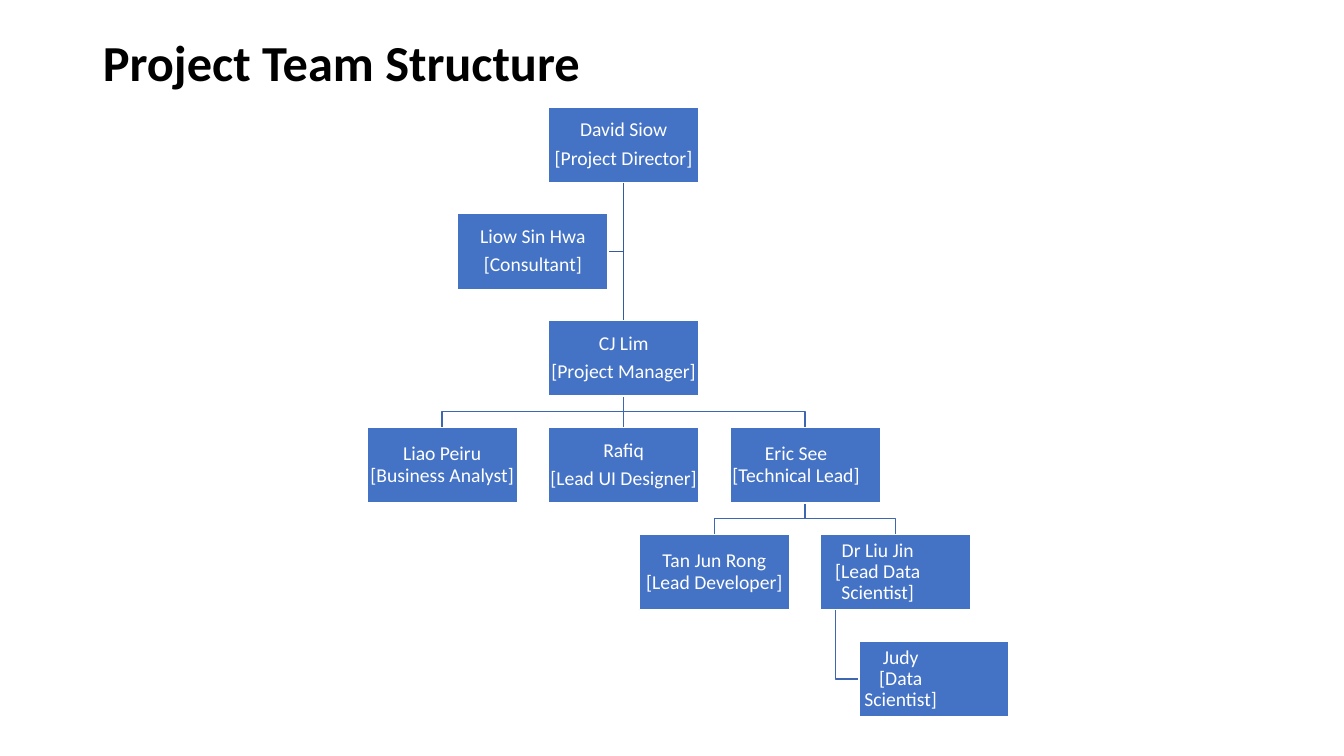
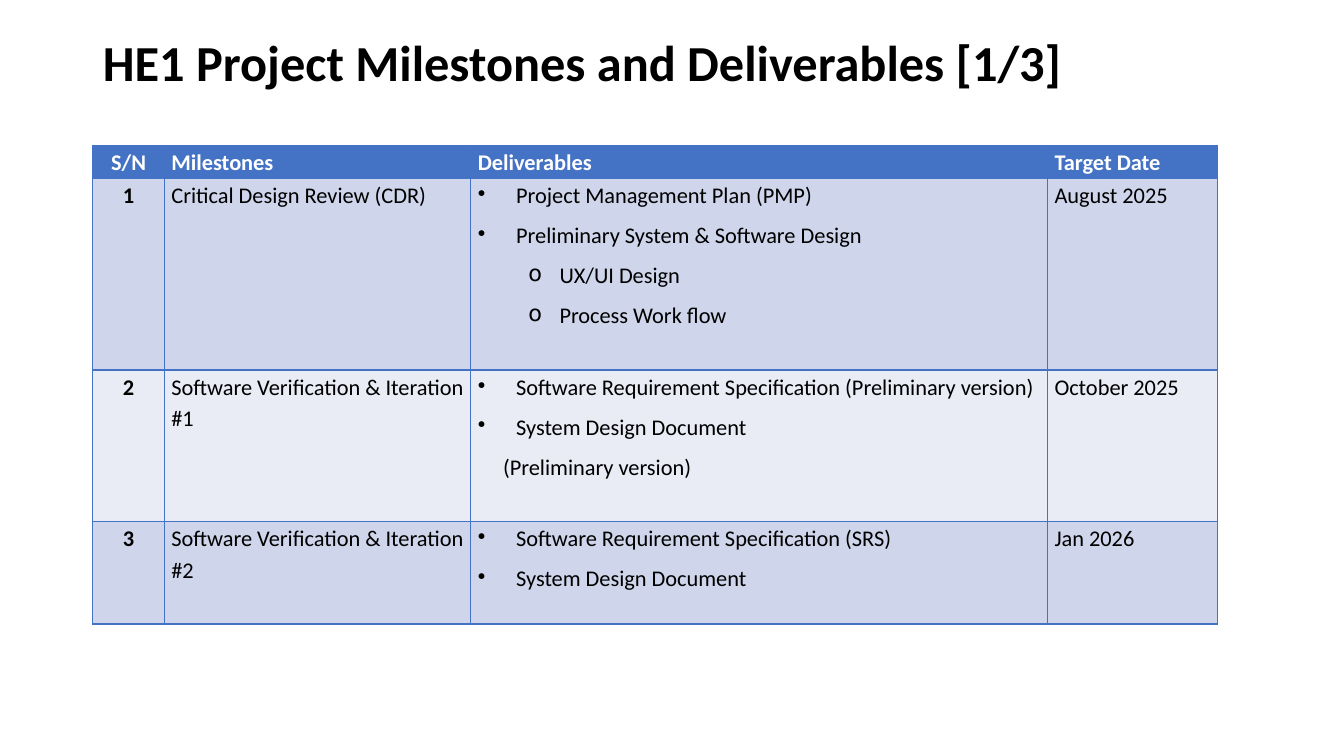
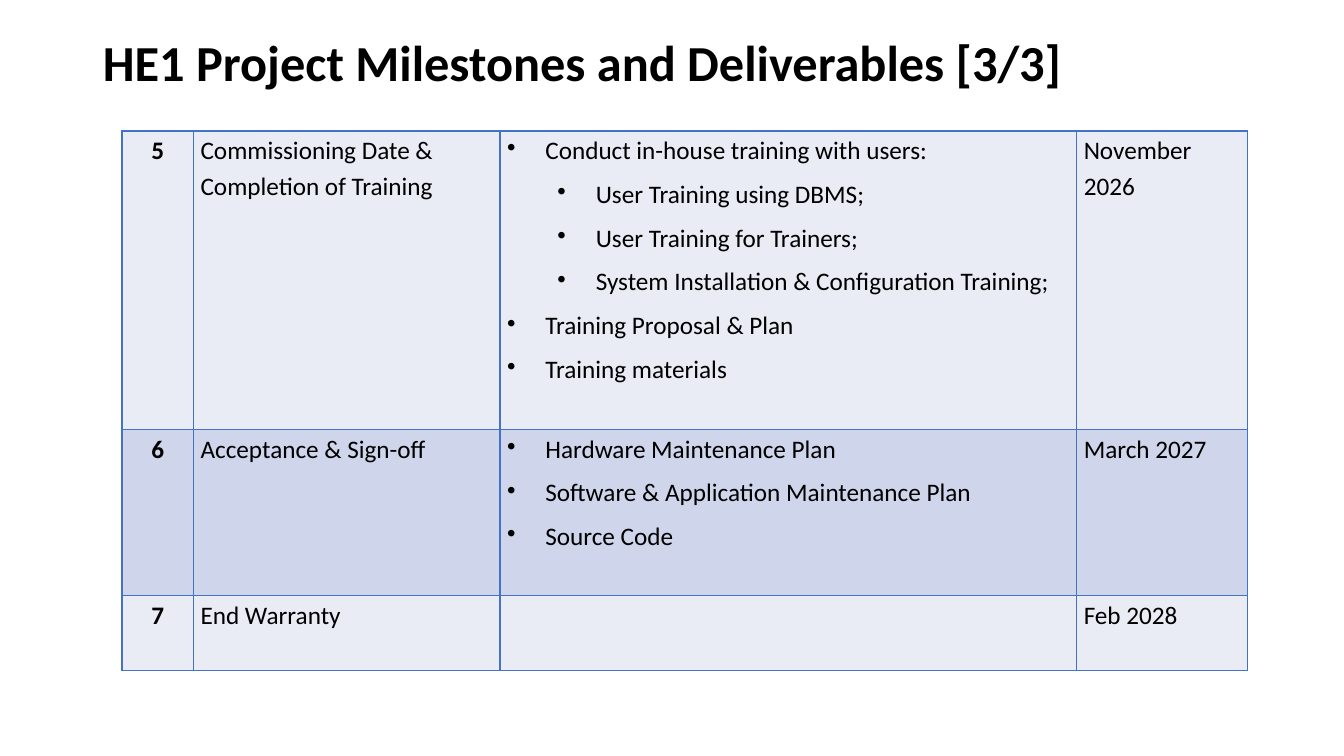
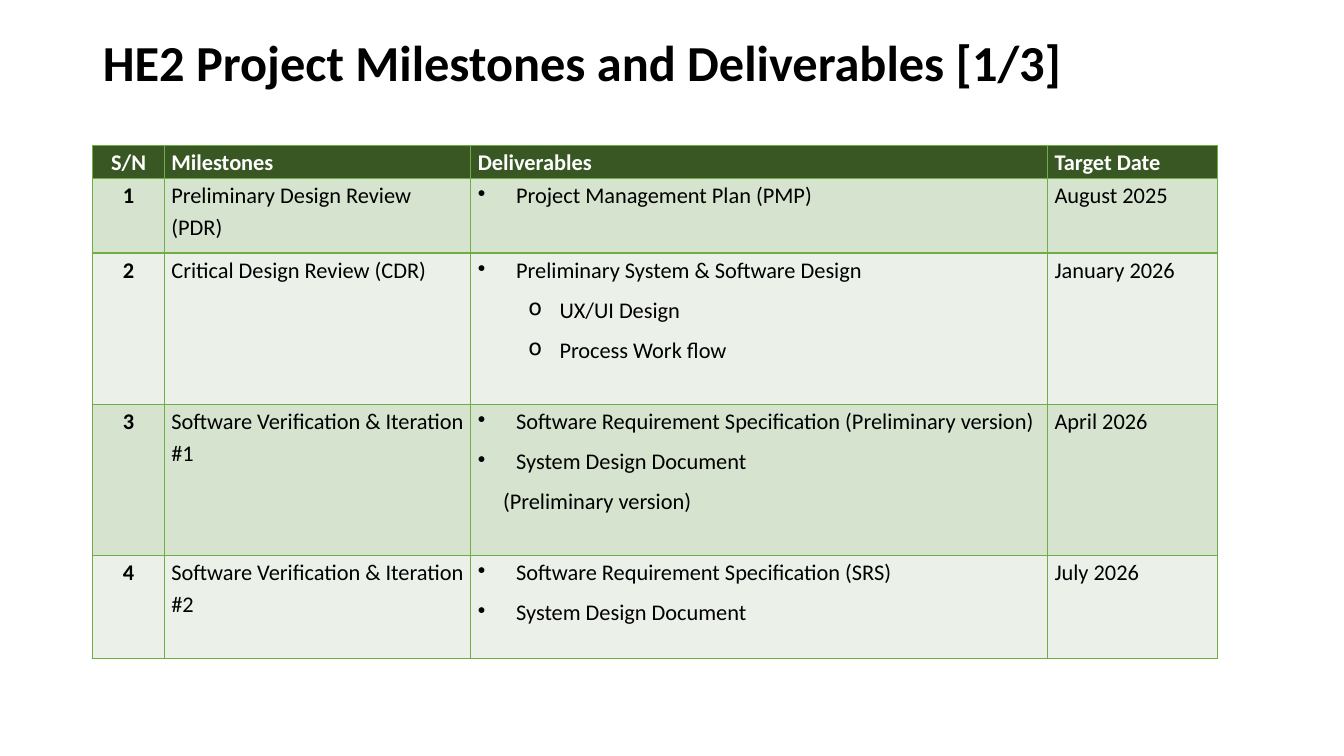
"""Build a project team chart and three milestone tables."""
from lxml import etree
from pptx import Presentation
from pptx.dml.color import RGBColor
from pptx.enum.shapes import MSO_CONNECTOR, MSO_SHAPE
from pptx.enum.text import MSO_ANCHOR, MSO_AUTO_SIZE, PP_ALIGN
from pptx.oxml.ns import qn
from pptx.util import Inches, Pt

FONT = "Calibri"
BLACK = RGBColor(0x00, 0x00, 0x00)
WHITE = RGBColor(0xFF, 0xFF, 0xFF)
BLUE = RGBColor(0x44, 0x72, 0xC4)
LINE_BLUE = RGBColor(0x3E, 0x67, 0xB2)
DARK_LINE_BLUE = RGBColor(0x36, 0x5B, 0x9D)
BLUE_BAND = RGBColor(0xCF, 0xD5, 0xEA)
PALE_BLUE_BAND = RGBColor(0xE9, 0xEB, 0xF5)
GREEN = RGBColor(0x70, 0xAD, 0x47)
DARK_GREEN = RGBColor(0x38, 0x57, 0x23)
GREEN_BAND = RGBColor(0xD5, 0xE3, 0xCF)
PALE_GREEN_BAND = RGBColor(0xEB, 0xF1, 0xE9)

MARGIN = 0.92
ROW_PITCH = 1.06
HALF_COLUMN = 0.9
CHART_LEFT, CHART_TOP = 5.44, 1.06
BOX_WIDTH, BOX_HEIGHT = 1.49, 0.75
COLUMN_WIDTHS = (0.71, 3.04, 5.72, 1.69)

LIST_STYLES = {
    "plain": (0, 0, None),
    "inset": (0.25, 0, None),
    "bullet": (0.38, -0.38, "•"),
    "circle": (0.81, -0.31, "o"),
    "nested": (0.88, -0.38, "•"),
}


def format_runs(paragraph, size, color, bold=False):
    for run in paragraph.runs:
        run.font.name = FONT
        run.font.size = Pt(size)
        run.font.bold = bold
        run.font.color.rgb = color


def add_border(cell, color):
    properties = cell._tc.get_or_add_tcPr()
    for position, side in enumerate(("a:lnL", "a:lnR", "a:lnT", "a:lnB")):
        line = etree.Element(qn(side), w=str(Pt(1)))
        fill = etree.SubElement(line, qn("a:solidFill"))
        etree.SubElement(fill, qn("a:srgbClr"), val=str(color))
        properties.insert(position, line)


presentation = Presentation()
presentation.slide_width = Inches(13.33)
presentation.slide_height = Inches(7.5)
layout = presentation.slide_layouts.get_by_name("Title Only")

title_shape = layout.placeholders[0]
title_shape.left, title_shape.top = Inches(MARGIN), Inches(0.4)
title_shape.width, title_shape.height = Inches(11.5), Inches(0.49)
title_shape.text_frame.auto_size = MSO_AUTO_SIZE.NONE
title_shape.text_frame.vertical_anchor = MSO_ANCHOR.MIDDLE
title_style = presentation.slide_master.element.find(f".//{qn('p:titleStyle')}/{qn('a:lvl1pPr')}")
title_style.set("algn", "l")
title_spacing = etree.Element(qn("a:lnSpc"))
etree.SubElement(title_spacing, qn("a:spcPct"), val="90000")
title_style.insert(0, title_spacing)
title_font = title_style.find(qn("a:defRPr"))
title_font.set("sz", "3600")
title_font.set("b", "1")

slide = presentation.slides.add_slide(layout)
slide.shapes.title.text_frame.text = "Project Team Structure"

# name: role, column, row, gap after name in points, right indent of name
TEAM = {
    "David Siow": ("[Project Director]", 0, 0, 5, 0),
    "Liow Sin Hwa": ("[Consultant]", -1, 1, 5, 0),
    "CJ Lim": ("[Project Manager]", 0, 2, 5, 0),
    "Liao Peiru": ("[Business Analyst]", -2, 3, 0, 0),
    "Rafiq": ("[Lead UI Designer]", 0, 3, 5, 0),
    "Eric See": ("[Technical Lead]", 2, 3, 0, 0.18),
    "Tan Jun Rong": ("[Lead Developer]", 1, 4, 0, 0),
    "Dr Liu Jin": ("[Lead Data Scientist]", 3, 4, 0, 0.36),
    "Judy": ("[Data Scientist]", 3.42, 5, 0, 0.66),
}
corners = {
    name: (CHART_LEFT + column * HALF_COLUMN, CHART_TOP + row * ROW_PITCH)
    for name, (role, column, row, gap, indent) in TEAM.items()
}

center = BOX_WIDTH / 2
half_gap = (ROW_PITCH - BOX_HEIGHT) / 2
routes = []
for parent, child, start, side in (
    ("David Siow", "Liow Sin Hwa", center, BOX_WIDTH),
    ("Dr Liu Jin", "Judy", BOX_WIDTH / 10, 0),
):
    start_x = corners[parent][0] + start
    child_x, child_y = corners[child]
    middle_y = child_y + BOX_HEIGHT / 2
    color = DARK_LINE_BLUE if parent == "David Siow" else LINE_BLUE
    routes.append((color, [(start_x, corners[parent][1] + BOX_HEIGHT),
                           (start_x, middle_y), (child_x + side, middle_y)]))
for parent, child in (
    ("Eric See", "Dr Liu Jin"),
    ("Eric See", "Tan Jun Rong"),
    ("CJ Lim", "Eric See"),
    ("CJ Lim", "Liao Peiru"),
):
    start_x, start_y = corners[parent][0] + center, corners[parent][1] + BOX_HEIGHT
    end_x, end_y = corners[child][0] + center, corners[child][1]
    routes.append((LINE_BLUE, [(start_x, start_y), (start_x, start_y + half_gap),
                               (end_x, start_y + half_gap), (end_x, end_y)]))
for color, points in routes:
    first, *others = [(Inches(x), Inches(y)) for x, y in points]
    builder = slide.shapes.build_freeform(*first)
    builder.add_line_segments(others, close=False)
    branch = builder.convert_to_shape()
    branch.shadow.inherit = False
    branch.fill.background()
    branch.line.color.rgb = color
    branch.line.width = Pt(1)

for parent, child, color in (
    ("CJ Lim", "Rafiq", LINE_BLUE),
    ("David Siow", "CJ Lim", DARK_LINE_BLUE),
):
    x = Inches(corners[parent][0] + center)
    connector = slide.shapes.add_connector(
        MSO_CONNECTOR.STRAIGHT, x, Inches(corners[parent][1] + BOX_HEIGHT),
        x, Inches(corners[child][1]))
    connector.line.color.rgb = color
    connector.line.width = Pt(1)
    etree.SubElement(connector._element.spPr, qn("a:effectLst"))

for name, (role, column, row, gap, indent) in TEAM.items():
    left, top = corners[name]
    box = slide.shapes.add_shape(MSO_SHAPE.RECTANGLE, Inches(left), Inches(top),
                                 Inches(BOX_WIDTH), Inches(BOX_HEIGHT))
    box.shadow.inherit = False
    box.fill.solid()
    box.fill.fore_color.rgb = BLUE
    box.line.color.rgb = WHITE
    box.line.width = Pt(1)
    frame = box.text_frame
    frame.margin_left = frame.margin_right = Inches(0.01)
    frame.margin_top = frame.margin_bottom = Inches(0.01)
    frame.word_wrap = True
    frame.vertical_anchor = MSO_ANCHOR.MIDDLE
    frame.text = f"{name}\n{role}"
    for paragraph in frame.paragraphs:
        paragraph.alignment = PP_ALIGN.CENTER
        paragraph.line_spacing = 0.9
        format_runs(paragraph, 14, WHITE)
    frame.paragraphs[0].space_after = Pt(gap)
    frame.paragraphs[0]._p.get_or_add_pPr().set("marR", str(Inches(indent)))

HEADER = (0.33, "S/N", "Milestones", [("plain", "Deliverables")], "Target Date")
PLAN = ("bullet", "Project Management Plan (PMP)")
DESIGN = [
    ("bullet", "Preliminary System & Software Design"),
    ("circle", "UX/UI Design"),
    ("circle", "Process Work flow"),
]
FIRST_ITERATION = ("Software Verification & Iteration #1", [
    ("bullet", "Software Requirement Specification (Preliminary version)"),
    ("bullet", "System Design Document"),
    ("inset", "(Preliminary version)"),
])
SECOND_ITERATION = ("Software Verification & Iteration #2", [
    ("bullet", "Software Requirement Specification (SRS)"),
    ("bullet", "System Design Document"),
])
TRAINING = [
    ("bullet", "Conduct in-house training with users:"),
    ("nested", "User Training using DBMS;"),
    ("nested", "User Training for Trainers;"),
    ("nested", "System Installation & Configuration Training;"),
    ("bullet", "Training Proposal & Plan"),
    ("bullet", "Training materials"),
]
MAINTENANCE = [
    ("bullet", "Hardware Maintenance Plan"),
    ("bullet", "Software & Application Maintenance Plan"),
    ("bullet", "Source Code"),
]
BLUE_COLORS = (BLUE, BLUE, PALE_BLUE_BAND, BLUE_BAND)
GREEN_COLORS = (GREEN, DARK_GREEN, PALE_GREEN_BAND, GREEN_BAND)

MILESTONE_SLIDES = (
    ("HE1 Project Milestones and Deliverables [1/3]", MARGIN, 1.44, 16, BLUE_COLORS, (
        HEADER,
        (1.9, "1", "Critical Design Review (CDR)", [PLAN, *DESIGN], "August 2025"),
        (1.5, "2", *FIRST_ITERATION, "October 2025"),
        (1.02, "3", *SECOND_ITERATION, "Jan 2026"),
    )),
    ("HE1 Project Milestones and Deliverables [3/3]", 1.21, 1.3, 18, BLUE_COLORS, (
        (2.96, "5", "Commissioning Date & Completion of Training", TRAINING, "November 2026"),
        (1.65, "6", "Acceptance & Sign-off", MAINTENANCE, "March 2027"),
        (0.74, "7", "End Warranty", [], "Feb 2028"),
    )),
    ("HE2 Project Milestones and Deliverables [1/3]", MARGIN, 1.44, 16, GREEN_COLORS, (
        HEADER,
        (0.74, "1", "Preliminary Design Review (PDR)", [PLAN], "August 2025"),
        (1.5, "2", "Critical Design Review (CDR)", DESIGN, "January 2026"),
        (1.5, "3", *FIRST_ITERATION, "April 2026"),
        (1.02, "4", *SECOND_ITERATION, "July 2026"),
    )),
)

for title, left, top, size, colors, rows in MILESTONE_SLIDES:
    border_color, header_color, even_color, odd_color = colors
    slide = presentation.slides.add_slide(layout)
    slide.shapes.title.text_frame.text = title
    table = slide.shapes.add_table(
        len(rows), len(COLUMN_WIDTHS), Inches(left), Inches(top),
        Inches(sum(COLUMN_WIDTHS)), Inches(sum(row[0] for row in rows))).table
    table.first_row = rows[0] is HEADER
    table.horz_banding = False
    for column, width in zip(table.columns, COLUMN_WIDTHS):
        column.width = Inches(width)

    for row_index, (height, number, milestone, deliverables, date) in enumerate(rows):
        table.rows[row_index].height = Inches(height)
        is_header = number == "S/N"
        dark_band = row_index % 2 == 1
        cells = ([("plain", number)], [("plain", milestone)], deliverables, [("plain", date)])
        for column_index, lines in enumerate(cells):
            cell = table.cell(row_index, column_index)
            cell.margin_left = cell.margin_right = Inches(0.07)
            cell.margin_top = cell.margin_bottom = 0
            cell.fill.solid()
            cell.fill.fore_color.rgb = (
                header_color if is_header else odd_color if dark_band else even_color)
            add_border(cell, border_color)
            cell.text_frame.text = "\n".join(text for style, text in lines)
            for paragraph, (style, text) in zip(cell.text_frame.paragraphs, lines):
                indent, hanging, bullet = LIST_STYLES[style]
                paragraph.alignment = PP_ALIGN.LEFT if column_index else PP_ALIGN.CENTER
                paragraph.line_spacing = 1.15
                paragraph.space_before = paragraph.space_after = Pt(3)
                paragraph_properties = paragraph._p.get_or_add_pPr()
                paragraph_properties.set("marL", str(Inches(indent)))
                paragraph_properties.set("indent", str(Inches(hanging)))
                if bullet:
                    etree.SubElement(paragraph_properties, qn("a:buChar"), char=bullet)
                format_runs(paragraph, size, WHITE if is_header else BLACK,
                            is_header or column_index == 0)

presentation.save("out.pptx")
